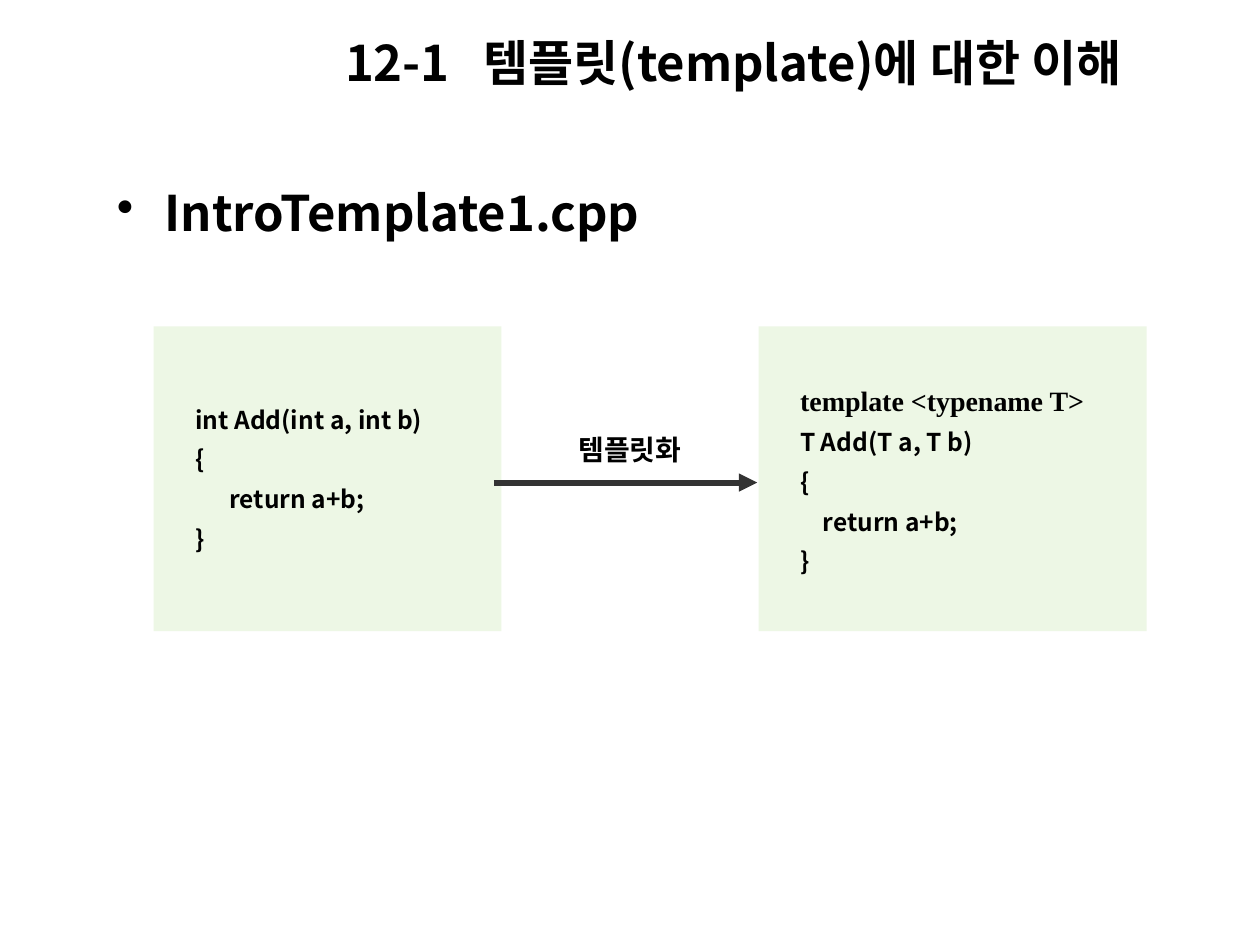
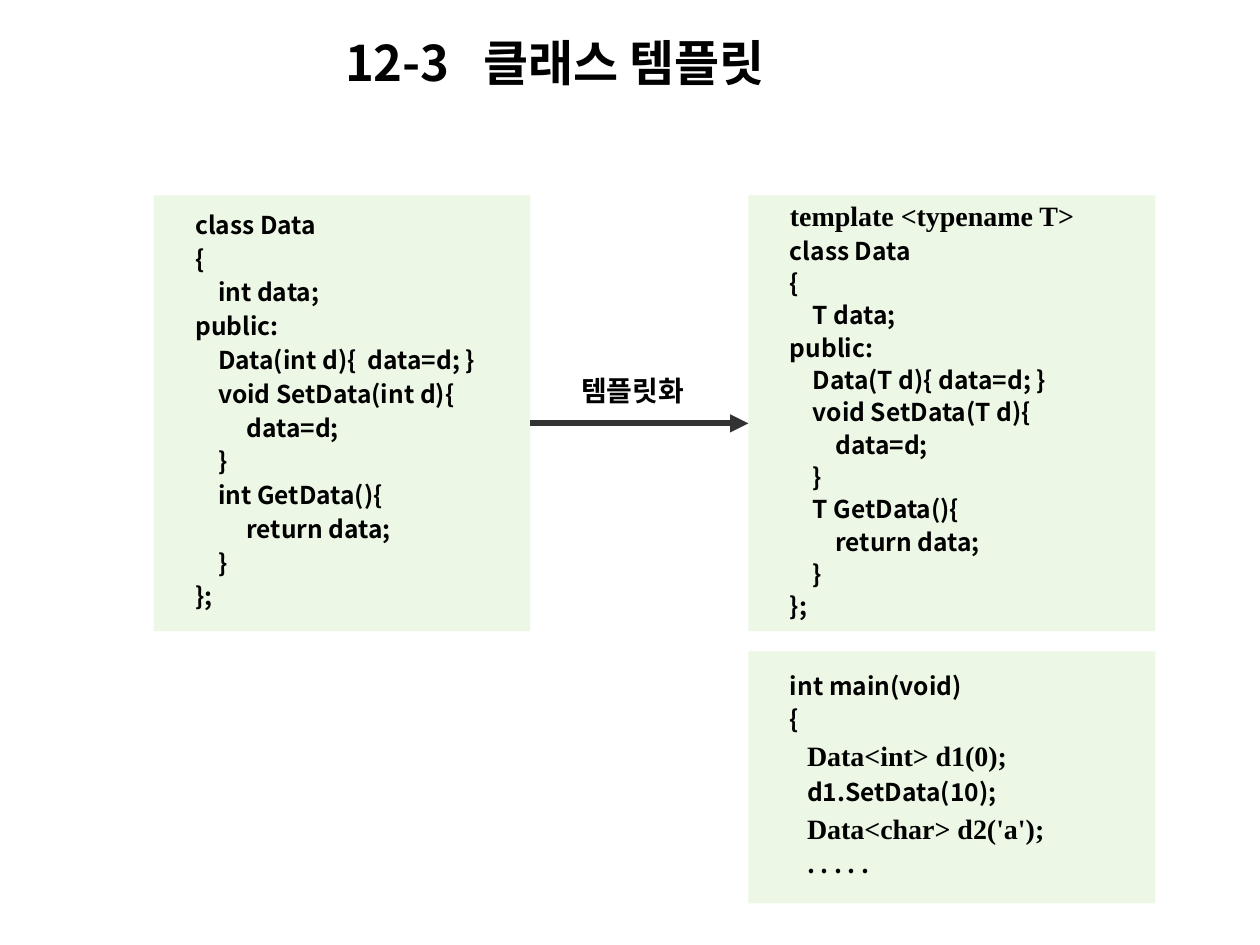
from lxml import etree
from pptx import Presentation
from pptx import util as u
from pptx.dml.color import RGBColor
from pptx.enum import shapes, text
from pptx.oxml import ns

BLACK = RGBColor(0x00, 0x00, 0x00)
PANEL_GREEN = RGBColor(0xED, 0xF7, 0xE5)
ARROW_GRAY = RGBColor(0x33, 0x33, 0x33)
SANS = "Noto Sans CJK KR"
SERIF = "Times New Roman"
COLUMN = u.Pt(3.25)  # width of one code column

# Code lines are (indent in columns, text, font).
ADD_INT = [(0, "int Add(int a, int b)", SANS), (0, "{", SANS),
           (6, "return a+b;", SANS), (0, "}", SANS)]
ADD_TEMPLATE = [(0, "template <typename T>", SERIF), (0, "T Add(T a, T b)", SANS),
                (0, "{", SANS), (4, "return a+b;", SANS), (0, "}", SANS)]
MAIN = [(0, "int main(void)", SANS), (0, "{", SANS),
        (3, "Data<int> d1(0);", SERIF), (3, "d1.SetData(10);", SANS),
        (3, "Data<char> d2('a');", SERIF), (3, ". . . . .", SANS)]


def data_class(kind, constructor, body_indent):
    """Code lines of class Data holding a member of the given type."""
    return [(0, "class Data", SANS), (0, "{", SANS), (4, f"{kind} data;", SANS),
            (0, "public:", SANS), (4, constructor, SANS),
            (4, f"void SetData({kind} d){{", SANS), (body_indent, "data=d;", SANS),
            (4, "}", SANS), (4, f"{kind} GetData(){{", SANS),
            (body_indent, "return data;", SANS), (4, "}", SANS), (0, "};", SANS)]


DATA_INT = data_class("int", "Data(int d){  data=d; }", 9)
DATA_TEMPLATE = [(0, "template <typename T>", SERIF)] + data_class(
    "T", "Data(T d){ data=d; }", 8)


def add_span(para, words, size, font=SANS):
    span = para.add_run()
    span.text = words
    span.font.size = u.Pt(size)
    span.font.bold = True
    span.font.name = font
    span.font.color.rgb = BLACK
    east_asian = etree.SubElement(span.font._element, ns.qn("a:ea"))
    east_asian.set("typeface", font)


def add_text_box(page, left, top, width, height, wrap=True):
    box = page.shapes.add_textbox(*map(u.Inches, (left, top, width, height)))
    box.text_frame.word_wrap = wrap
    box.text_frame.vertical_anchor = text.MSO_ANCHOR.MIDDLE
    return box.text_frame


def add_title(page, number, words, width):
    para = add_text_box(page, 2.64, 0.21, width, 0.57).paragraphs[0]
    tabs = etree.SubElement(para._p.get_or_add_pPr(), ns.qn("a:tabLst"))
    etree.SubElement(tabs, ns.qn("a:tab"), pos=str(u.Inches(1.1)), algn="l")
    add_span(para, f"{number}\t{words}", 28)


def add_bullet(page, words):
    frame = add_text_box(page, 0.83, 1.31, 8.5, 0.66)
    frame.vertical_anchor = text.MSO_ANCHOR.TOP
    para = frame.paragraphs[0]
    para.line_spacing = 1.2
    para.space_before = u.Pt(7)
    props = para._p.get_or_add_pPr()
    props.set("marL", str(u.Inches(0.38)))
    props.set("indent", str(-u.Inches(0.38)))
    etree.SubElement(props, ns.qn("a:buChar"), char="•")
    add_span(para, words, 28)


def add_code_panel(page, left, top, width, height, lines, spacing):
    panel = page.shapes.add_shape(shapes.MSO_SHAPE.RECTANGLE,
                                  *map(u.Inches, (left, top, width, height)))
    panel.shadow.inherit = False
    panel.fill.solid()
    panel.fill.fore_color.rgb = PANEL_GREEN
    panel.line.fill.background()
    frame = panel.text_frame
    frame.word_wrap = True
    frame.vertical_anchor = text.MSO_ANCHOR.MIDDLE
    frame.margin_left, frame.margin_top = u.Inches(0.33), u.Inches(0.13)
    frame.margin_right, frame.margin_bottom = u.Inches(0.1), u.Inches(0.21)
    for index, (columns, words, font) in enumerate(lines):
        para = frame.add_paragraph() if index else frame.paragraphs[0]
        para.alignment = text.PP_ALIGN.LEFT
        para.line_spacing = spacing
        para._p.get_or_add_pPr().set("marL", str(columns * COLUMN))
        add_span(para, words, 16 if font == SERIF else 14, font)


def add_template_arrow(page, start, end, height, label_left):
    """Arrow at the given height, with its label just above it."""
    arrow = page.shapes.add_connector(
        shapes.MSO_CONNECTOR.STRAIGHT,
        *map(u.Inches, (start, height, end, height)))
    arrow.line.color.rgb = ARROW_GRAY
    arrow.line.width = u.Pt(3.5)
    etree.SubElement(arrow.line._get_or_add_ln(), ns.qn("a:tailEnd"), type="triangle")
    etree.SubElement(arrow._element.spPr, ns.qn("a:effectLst"))
    label = add_text_box(page, label_left, height - 0.47, 1.08, 0.42, wrap=False)
    label.paragraphs[0].alignment = text.PP_ALIGN.CENTER
    add_span(label.paragraphs[0], "템플릿화", 16)


def function_template_page(page):
    add_title(page, "12-1", "템플릿(template)에 대한 이해", 7.03)
    add_bullet(page, "IntroTemplate1.cpp")
    add_code_panel(page, 1.22, 2.59, 2.76, 2.42, ADD_INT, 1.35)
    add_code_panel(page, 6.02, 2.59, 3.08, 2.42, ADD_TEMPLATE, 1.35)
    add_template_arrow(page, 3.92, 6.01, 3.83, 4.46)


def class_template_page(page):
    add_title(page, "12-3", "클래스 템플릿", 3.86)
    add_code_panel(page, 1.22, 1.55, 2.99, 3.46, DATA_INT, 1.15)
    add_code_panel(page, 5.94, 1.55, 3.23, 3.46, DATA_TEMPLATE, 1.1)
    add_template_arrow(page, 4.21, 5.94, 3.36, 4.48)
    add_code_panel(page, 5.94, 5.17, 3.23, 2, MAIN, 1.15)


def main():
    deck = Presentation()
    deck.slide_width, deck.slide_height = u.Inches(10), u.Inches(7.5)
    for build in (function_template_page, class_template_page):
        build(deck.slides.add_slide(deck.slide_layouts[6]))
    deck.save("out.pptx")


if __name__ == "__main__":
    main()
